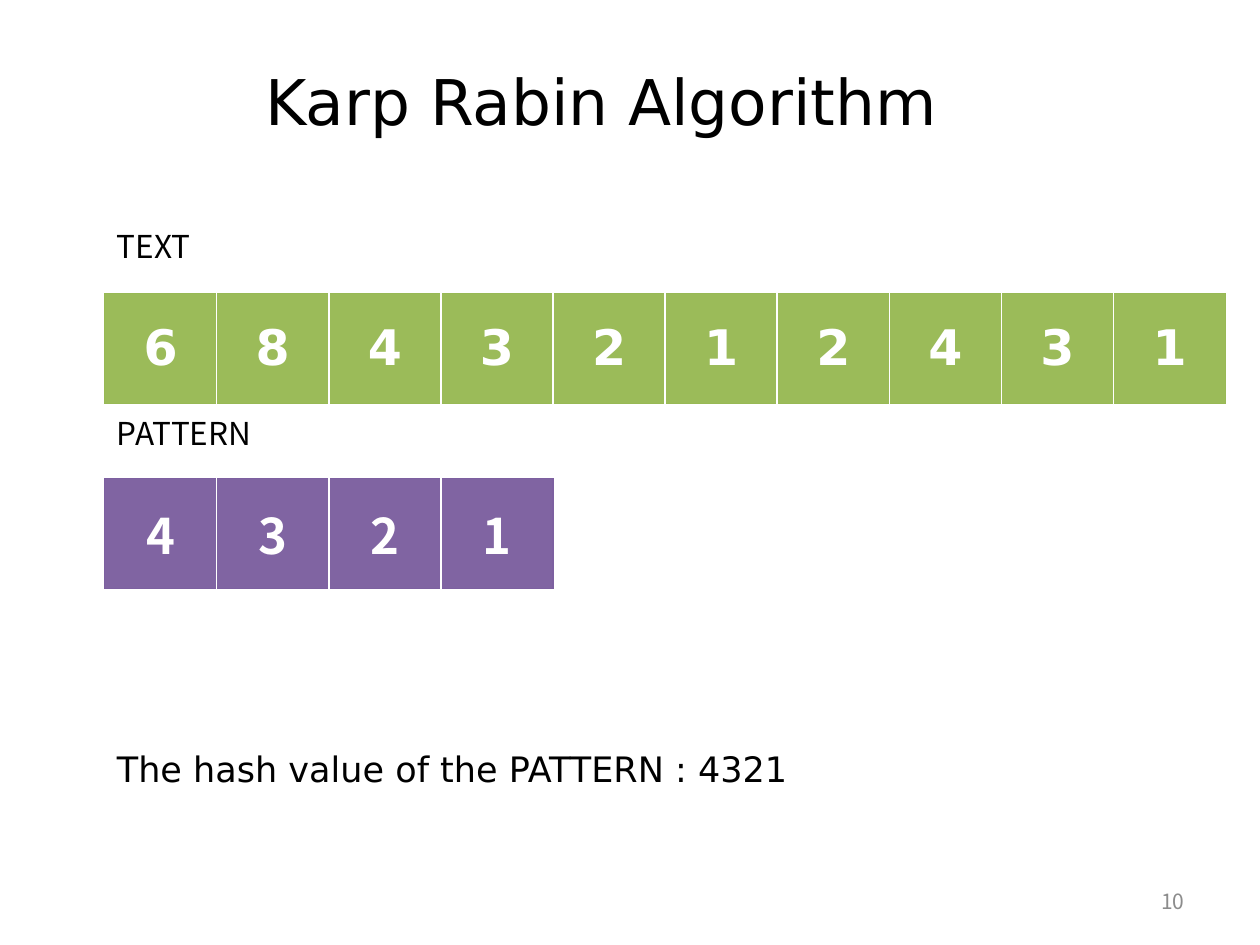
from pptx import Presentation
from pptx import util as u
from pptx.dml.color import RGBColor
from pptx.enum import text
from pptx.oxml import parse_xml
from pptx.oxml.ns import nsdecls

THEME = {
    "sans": "DejaVu Sans", "cjk": "Noto Sans CJK KR",
    "black": "000000", "white": "FFFFFF", "gray": "8C8C8C",
    "green": "9BBB59", "green_line": "98B955",
    "purple": "8064A2", "purple_line": "7D60A0",
    "title": 36, "digit": 28, "hash": 20, "label": 18, "number": 12,
}
LEFT, CELL_W, CELL_H = 0.83, 0.89, 0.87
ALIGN = text.PP_ALIGN
ANCHOR = text.MSO_ANCHOR

prs = Presentation()
prs.slide_width, prs.slide_height = u.Inches(10), u.Inches(7.5)
s = prs.slides.add_slide(prs.slide_layouts[6])


def write(tf, words, font, size, color, align, bold=False):
    tf.text = words
    p = tf.paragraphs[0]
    p.alignment = align
    f = p.runs[0].font
    f.name, f.size, f.bold = THEME[font], u.Pt(THEME[size]), bold
    f.color.rgb = RGBColor.from_string(THEME[color])


def add_digits(digits, top, font, color):
    frame = s.shapes.add_table(1, len(digits), u.Inches(LEFT), u.Inches(top),
                               u.Inches(CELL_W * len(digits)), u.Inches(CELL_H))
    table = frame.table
    table.first_row = table.horz_banding = False
    for i, digit in enumerate(digits):
        table.columns[i].width = u.Inches(CELL_W)
        cell = table.cell(0, i)
        cell.vertical_anchor = ANCHOR.MIDDLE
        cell.fill.solid()
        cell.fill.fore_color.rgb = RGBColor.from_string(THEME[color])
        write(cell.text_frame, digit, font, "digit", "white", ALIGN.CENTER, True)
        # Outer border only; border elements precede the fill
        sides = ["lnL"] * (i == 0) + ["lnR"] * (i == len(digits) - 1) + ["lnT", "lnB"]
        tc_pr = cell._tc.get_or_add_tcPr()
        for n, side in enumerate(sides):
            tc_pr.insert(n, parse_xml(
                f'<a:{side} {nsdecls("a")} w="{u.Pt(0.75)}"><a:solidFill>'
                f'<a:srgbClr val="{THEME[color + "_line"]}"/></a:solidFill></a:{side}>'))


# Title, labels, hash value and slide number
for words, box, font, size, color, align, anchor in [
    ("Karp Rabin Algorithm", (2.01, 0.29, 7.06, 1.01), "sans", "title", "black",
     ALIGN.LEFT, ANCHOR.MIDDLE),
    ("TEXT", (LEFT, 1.75, 5, 0.4), "cjk", "label", "black", ALIGN.JUSTIFY, ANCHOR.TOP),
    ("PATTERN", (LEFT, 3.24, 5, 0.4), "cjk", "label", "black", ALIGN.JUSTIFY, ANCHOR.TOP),
    ("The hash value of the PATTERN : 4321", (LEFT, 5.88, 6.34, 0.44), "sans", "hash",
     "black", ALIGN.JUSTIFY, ANCHOR.TOP),
    ("10", (7.17, 6.95, 2.33, 0.4), "cjk", "number", "gray", ALIGN.RIGHT, ANCHOR.MIDDLE),
]:
    tf = s.shapes.add_textbox(*map(u.Inches, box)).text_frame
    tf.word_wrap = True
    tf.vertical_anchor = anchor
    write(tf, words, font, size, color, align)

# Digit strips
add_digits("6843212431", 2.33, "sans", "green")
add_digits("4321", 3.8, "cjk", "purple")

prs.save("out.pptx")
